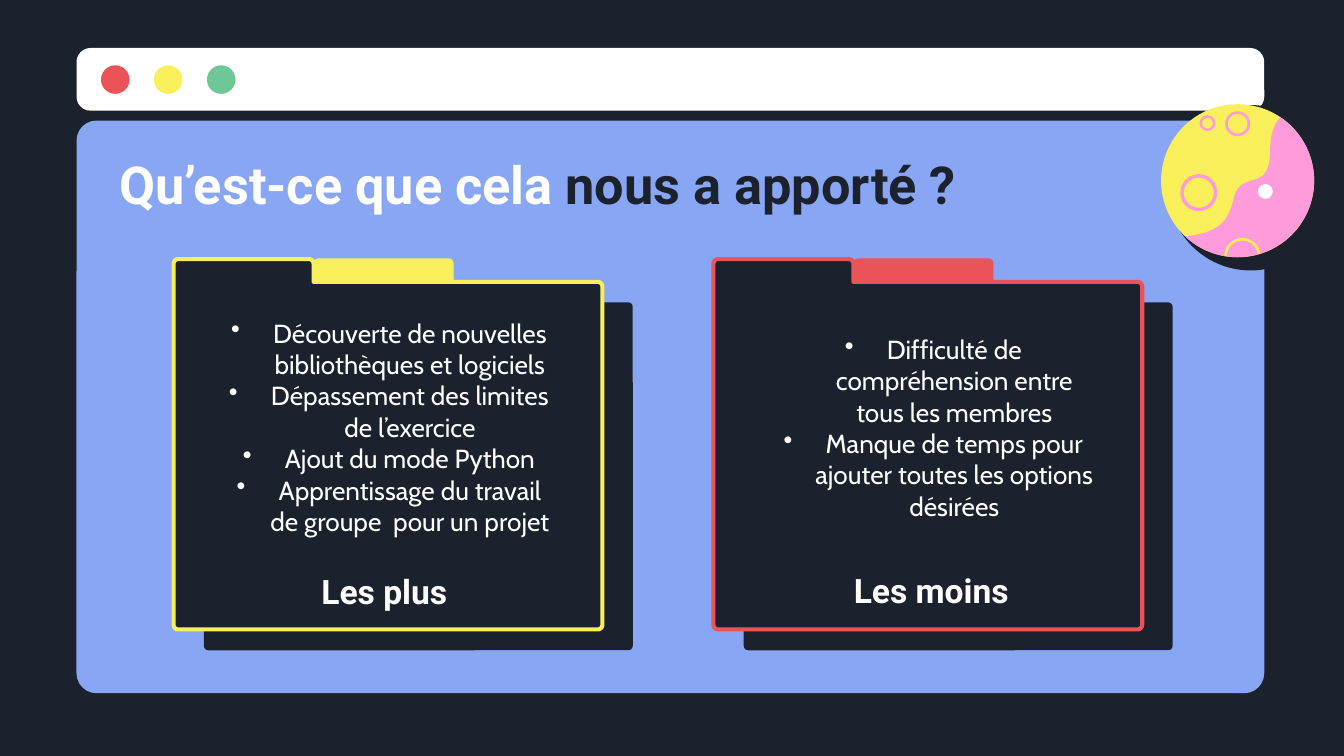
from math import cos, radians, sin

from lxml.etree import SubElement
from pptx import Presentation
from pptx.dml.color import RGBColor
from pptx.enum.shapes import MSO_SHAPE as Kind
from pptx.enum.text import MSO_ANCHOR as Anchor, PP_ALIGN as Align
from pptx.oxml.ns import qn
from pptx.util import Pt

DARK = RGBColor(0x1B, 0x22, 0x2D)
BLUE = RGBColor(0x88, 0xA6, 0xF3)
WHITE = RGBColor(0xFF, 0xFF, 0xFF)
RED = RGBColor(0xEB, 0x53, 0x58)
YELLOW = RGBColor(0xF8, 0xEF, 0x5B)
GREEN = RGBColor(0x6D, 0xC7, 0x97)
PINK = RGBColor(0xFF, 0x9B, 0xDA)


def arc(x, y, r, start, end, steps=8):
    """Points along a circle, with angles in degrees clockwise from the right."""
    turns = [radians(start + (end - start) * i / steps) for i in range(steps + 1)]
    return [(Pt(x + r * cos(t)), Pt(y + r * sin(t))) for t in turns]


def draw(form, fill=None, line=None, width=0, box=None, round_by=None, closed=True):
    """Draw a preset in a box, or a freeform through a list of points."""
    if box:
        shape = shapes.add_shape(form, *map(Pt, box))
    else:
        pen = shapes.build_freeform(*form[0])
        pen.add_line_segments(form[1:], close=closed)
        shape = pen.convert_to_shape()
    if round_by is not None:
        shape.adjustments[0] = round_by
    shape.shadow.inherit = False
    if fill is None:
        shape.fill.background()
    else:
        shape.fill.solid()
        shape.fill.fore_color.rgb = fill
    if line is None:
        shape.line.fill.background()
    else:
        shape.line.color.rgb = line
        shape.line.width = Pt(width)


deck = Presentation()
deck.slide_width, deck.slide_height = Pt(720), Pt(405)
slide = deck.slides.add_slide(deck.slide_layouts[6])
slide.background.fill.solid()
slide.background.fill.fore_color.rgb = DARK
shapes = slide.shapes

# Window with its title bar and buttons
draw(Kind.ROUNDED_RECTANGLE, BLUE, box=(41, 64.6, 636.3, 306.8), round_by=0.035)
draw(Kind.ROUNDED_RECTANGLE, WHITE, box=(41, 25.7, 636.3, 33.6), round_by=0.223)
for i, color in enumerate((RED, YELLOW, GREEN)):
    draw(Kind.OVAL, color, box=(54.1 + 28.4 * i, 35, 15.3, 15.3))

# Moon
mid_x, mid_y, radius = 663, 96.8, 41
draw(Kind.OVAL, DARK, box=(625.7, 56.3, 88.6, 88.6))
draw(Kind.OVAL, YELLOW, box=(mid_x - radius, mid_y - radius, 2 * radius, 2 * radius))
half = arc(mid_x, mid_y, radius, -56, 133, 60)
wave = [(635, 126.7), (652.3, 124.6), (658.1, 119.5), (661, 105.8),
        (664.6, 90.7), (680.4, 103.7), (680.4, 81.4),
        (680.4, 70.6), (683.3, 65.5), (686.2, 62.6)]
for i in range(0, 9, 3):
    for step in range(1, 13):
        t = step / 12
        parts = ((1 - t) ** 3, 3 * t * (1 - t) ** 2, 3 * t * t * (1 - t), t ** 3)
        half.append(tuple(Pt(sum(p * dot[axis] for p, dot in zip(parts, wave[i:i + 4])))
                          for axis in (0, 1)))
draw(half, PINK)
for x, y, r, width in ((663, 66.3, 6, 1.4), (642.2, 103.2, 9, 1.8), (646.9, 66, 3.6, 1.3)):
    draw(Kind.OVAL, None, PINK, width, (x - r, y - r, 2 * r, 2 * r))
draw(arc(665.6, 137.2, 9, 180, 352, 24), None, YELLOW, 1.4, closed=False)
draw(Kind.OVAL, WHITE, box=(673.9, 98.6, 8, 8))

# Folders
for x, color in ((93, YELLOW), (382.2, RED)):
    draw(Kind.ROUNDED_RECTANGLE, DARK, box=(x + 16.2, 162, 229.8, 186.4), round_by=0.013)
    draw(Kind.ROUNDED_RECTANGLE, color, box=(x + 75, 138.4, 75, 23.6), round_by=0.11)
    front = (arc(x + 2.5, 141.3, 2.5, 180, 270) + arc(x + 72.5, 141.3, 2.5, 270, 360)
             + [(Pt(x + 75), Pt(151))] + arc(x + 227.2, 153.5, 2.5, 270, 360)
             + arc(x + 227.2, 334.7, 2.5, 0, 90) + arc(x + 2.5, 334.7, 2.5, 90, 180))
    draw(front, DARK, color, 2.2)

# Texts: box, font, size, alignment, paragraphs made of (text, colour) runs
plus = ["Découverte de nouvelles bibliothèques et logiciels",
        "Dépassement des limites de l’exercice",
        "Ajout du mode Python",
        "Apprentissage du travail de groupe  pour un projet"]
minus = ["Difficulté de compréhension entre tous les membres",
         "Manque de temps pour ajouter toutes les options désirées"]
texts = [
    ((56.9, 76.3, 607, 44.6), "Roboto", 28, Align.LEFT,
     [[("Qu’est-ce que cela ", WHITE), ("nous a apporté ?", DARK)]]),
    ((110.9, 295.9, 190, 41.8), "Roboto", 18, Align.CENTER, [[("Les plus", WHITE)]]),
    ((403.9, 295.2, 190, 41.8), "Roboto", 18, Align.CENTER, [[("Les moins", WHITE)]]),
    ((113, 162.7, 190.8, 132.5), "Cabin", 14, Align.CENTER, [[(s, WHITE)] for s in plus]),
    ((404.6, 171.4, 190.8, 132.5), "Cabin", 14, Align.CENTER, [[(s, WHITE)] for s in minus]),
]
for box, font, size, align, paras in texts:
    title = font == "Roboto"
    frame = shapes.add_textbox(*map(Pt, box)).text_frame
    frame.word_wrap = True
    frame.vertical_anchor = Anchor.MIDDLE if title else Anchor.TOP
    frame.margin_left = frame.margin_right = Pt(7.2)
    frame.margin_top = frame.margin_bottom = Pt(7.2)
    for i, runs in enumerate(paras):
        para = frame.add_paragraph() if i else frame.paragraphs[0]
        para.alignment = align
        for words, color in runs:
            run = para.add_run()
            run.text = words
            run.font.name, run.font.size, run.font.bold = font, Pt(size), title
            run.font.color.rgb = color
        if not title:
            props = para._p.get_or_add_pPr()
            props.set("marL", str(Pt(22.5)))
            props.set("indent", str(Pt(-22.5)))
            tint = SubElement(props, qn("a:buClr"))
            SubElement(tint, qn("a:srgbClr"), val=str(WHITE))
            SubElement(props, qn("a:buChar"), char="•")

deck.save("out.pptx")
